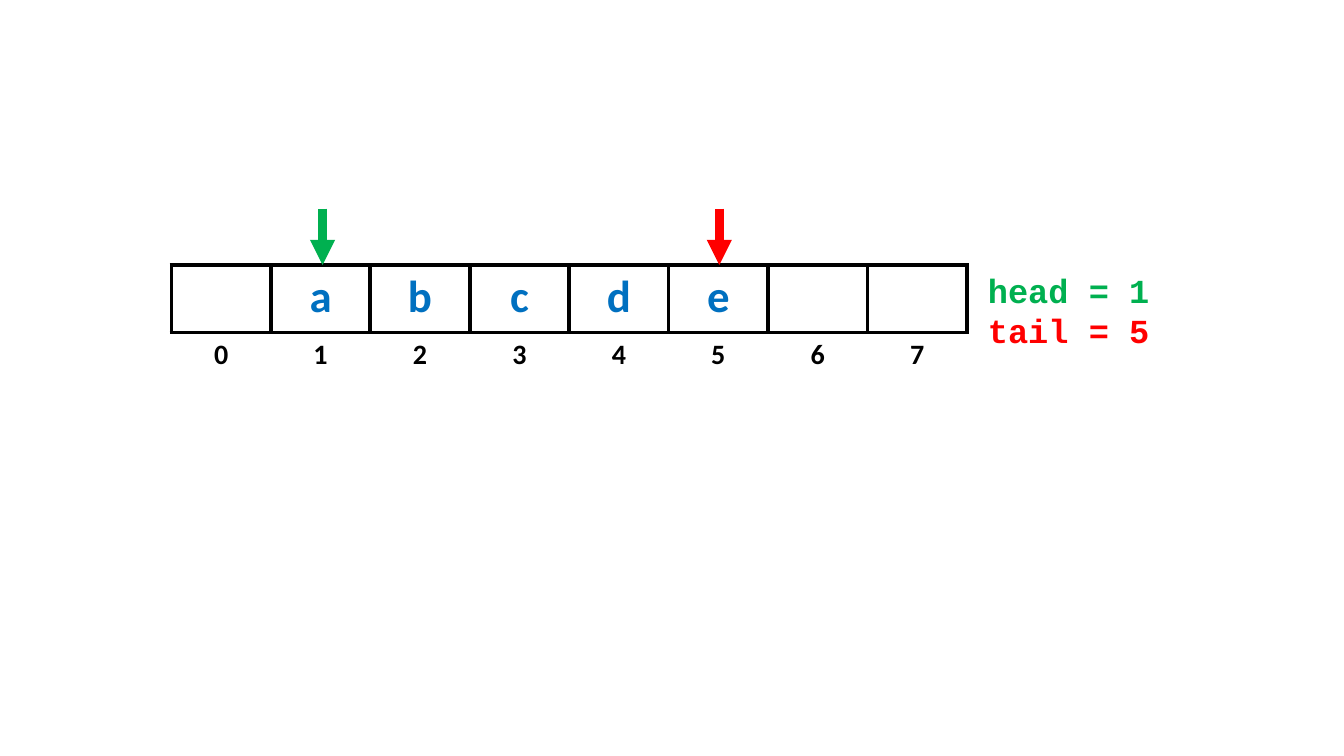
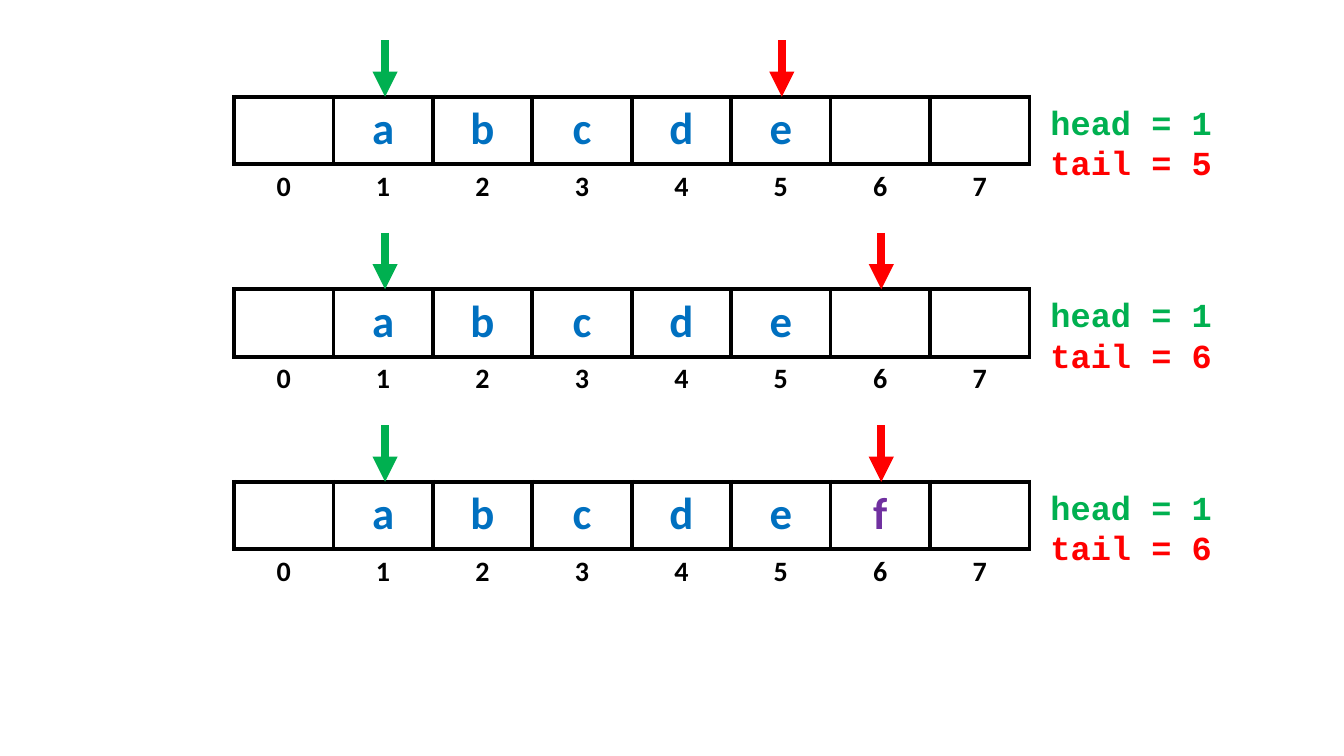
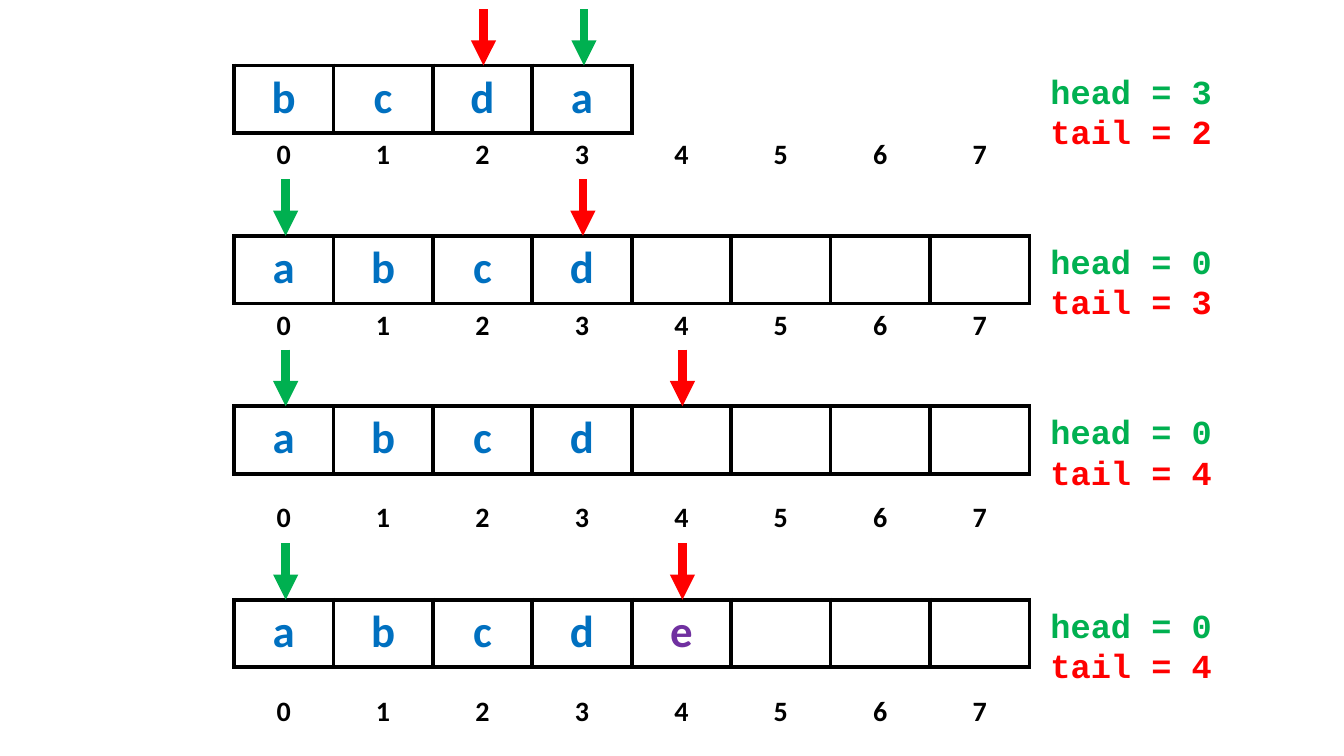
from dataclasses import dataclass

from lxml.etree import SubElement
from pptx import Presentation
from pptx.dml.color import RGBColor
from pptx.enum.shapes import MSO_CONNECTOR
from pptx.enum.text import MSO_AUTO_SIZE, PP_ALIGN
from pptx.oxml.ns import qn
from pptx.util import Inches, Pt

BLACK = RGBColor(0x00, 0x00, 0x00)
WHITE = RGBColor(0xFF, 0xFF, 0xFF)
BLUE = RGBColor(0x00, 0x70, 0xC0)
PURPLE = RGBColor(0x70, 0x30, 0xA0)
GREEN = RGBColor(0x00, 0xB0, 0x50)
RED = RGBColor(0xFF, 0x00, 0x00)

CAPACITY = 8
COLUMN = 7.89 / CAPACITY
ROW = 0.67
ARROW_LENGTH = 0.56
HEAD_SHIFT = 0.02
TAIL_SHIFT = 0.01


@dataclass
class QueueState:
    """One step of a circular queue; a space in cells is a free cell."""
    top: float
    cells: str
    head: int
    tail: int
    added: bool = False
    index_gap: float = 0


class QueueDeck:
    cell_font = "Calibri"
    code_font = "Courier New"

    def __init__(self):
        self.presentation = Presentation()
        self.presentation.slide_width = Inches(13.33)
        self.presentation.slide_height = Inches(7.5)
        self.slide = None
        self.left = 0

    def new_slide(self, left):
        """Start a blank slide whose grid begins at left."""
        self.slide = self.presentation.slides.add_slide(
            self.presentation.slide_layouts[6])
        self.left = left

    def column_left(self, column):
        return Inches(self.left + column * COLUMN)

    def cell_row(self, top, texts, size, colors, border=None):
        frame = self.slide.shapes.add_table(
            1, len(texts), self.column_left(0), Inches(top),
            Inches(len(texts) * COLUMN), Inches(ROW))
        table = frame.table
        table.first_row = table.horz_banding = False
        for cell, text, color in zip(table.iter_cells(), texts, colors):
            if border is not None:
                self.outline(cell, border)
            cell.fill.solid()
            cell.fill.fore_color.rgb = WHITE
            if text.strip():
                cell.text = text
                paragraph = cell.text_frame.paragraphs[0]
                paragraph.alignment = PP_ALIGN.CENTER
                self.set_font(paragraph, self.cell_font, size, color)

    def outline(self, cell, color):
        properties = cell._tc.get_or_add_tcPr()
        for side in ("a:lnL", "a:lnR", "a:lnT", "a:lnB"):
            line = SubElement(properties, qn(side), w=str(Pt(3)))
            fill = SubElement(line, qn("a:solidFill"))
            SubElement(fill, qn("a:srgbClr"), val=str(color))

    def set_font(self, paragraph, name, size, color):
        font = paragraph.font
        font.name = name
        font.size = Pt(size)
        font.bold = True
        font.color.rgb = color

    def pointer_values(self, top, head, tail):
        box = self.slide.shapes.add_textbox(
            self.column_left(CAPACITY) + Inches(0.11), Inches(top),
            Inches(1.8), Inches(0.91))
        text_frame = box.text_frame
        text_frame.word_wrap = False
        text_frame.auto_size = MSO_AUTO_SIZE.SHAPE_TO_FIT_TEXT
        text_frame.text = f"head = {head}\ntail = {tail}"
        for paragraph, color in zip(text_frame.paragraphs, (GREEN, RED)):
            self.set_font(paragraph, self.code_font, 24, color)

    def pointer_arrow(self, top, column, color, shift):
        """Point down at the middle of a column, moved right by shift."""
        center = self.column_left(column + 0.5) + Inches(shift)
        arrow = self.slide.shapes.add_connector(
            MSO_CONNECTOR.STRAIGHT, center, Inches(top - ARROW_LENGTH),
            center, Inches(top))
        arrow.line.color.rgb = color
        arrow.line.width = Pt(6)
        SubElement(arrow.line._get_or_add_ln(), qn("a:tailEnd"),
                   type="triangle")
        SubElement(arrow._element.spPr, qn("a:effectLst"))

    def queue(self, state):
        indexes = [str(index) for index in range(CAPACITY)]
        self.cell_row(state.top + ROW + state.index_gap, indexes, 20,
                      [BLACK] * CAPACITY)
        colors = [PURPLE if state.added and index == state.tail else BLUE
                  for index in range(len(state.cells))]
        self.cell_row(state.top, state.cells, 32, colors, border=BLACK)
        self.pointer_values(state.top, state.head, state.tail)
        self.pointer_arrow(state.top, state.head, GREEN, HEAD_SHIFT)
        self.pointer_arrow(state.top, state.tail, RED, TAIL_SHIFT)


SLIDES = [
    (1.7, [QueueState(2.63, " abcde  ", 1, 5)]),
    (2.32, [
        QueueState(0.96, " abcde  ", 1, 5),
        QueueState(2.87, " abcde  ", 1, 6),
        QueueState(4.78, " abcdef ", 1, 6, added=True),
    ]),
    (2.32, [
        QueueState(0.65, "bcda", 3, 2),
        QueueState(2.34, "abcd    ", 0, 3),
        QueueState(4.03, "abcd    ", 0, 4, index_gap=0.22),
        QueueState(5.95, "abcde   ", 0, 4, added=True, index_gap=0.22),
    ]),
]


def main():
    deck = QueueDeck()
    for left, states in SLIDES:
        deck.new_slide(left)
        for state in states:
            deck.queue(state)
    deck.presentation.save("out.pptx")


if __name__ == "__main__":
    main()
